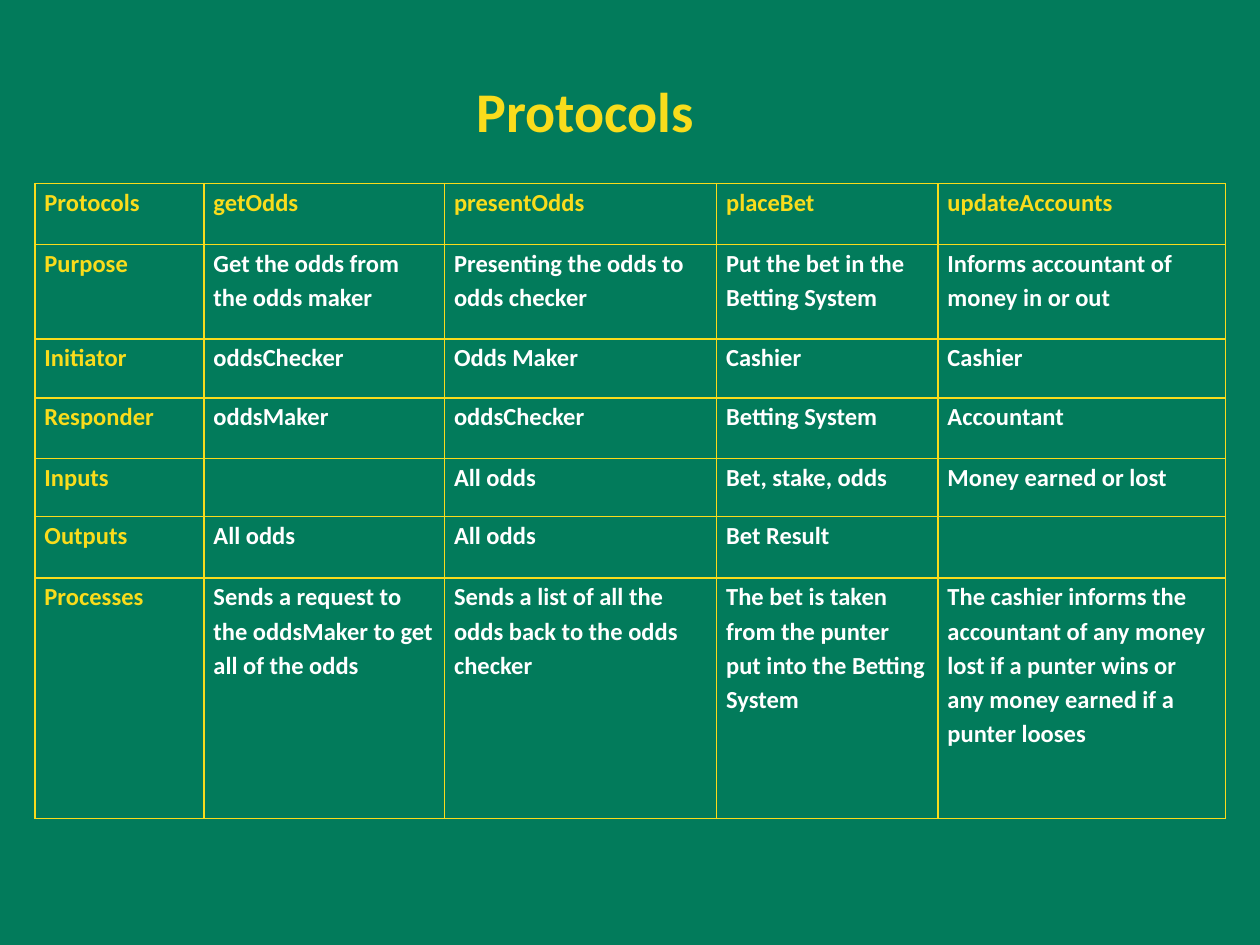
from lxml import etree
from pptx import Presentation
from pptx import util as u
from pptx.dml.color import RGBColor
from pptx.enum import text
from pptx.oxml import ns

GREEN = RGBColor(0x02, 0x7B, 0x5B)
YELLOW = RGBColor(0xF9, 0xDC, 0x1C)
WHITE = RGBColor(0xFF, 0xFF, 0xFF)

COLUMN_WIDTHS = [96.6, 137.5, 155.5, 126.5, 164.2]
ROW_HEIGHTS = [34.6, 54, 33.8, 34.6, 33.1, 35.3, 137.5]
PROTOCOLS = [
    ["Protocols", "getOdds", "presentOdds", "placeBet", "updateAccounts"],
    ["Purpose", "Get the odds from the odds maker", "Presenting the odds to odds checker",
     "Put the bet in the Betting System", "Informs accountant of money in or out"],
    ["Initiator", "oddsChecker", "Odds Maker", "Cashier", "Cashier"],
    ["Responder", "oddsMaker", "oddsChecker", "Betting System", "Accountant"],
    ["Inputs", "", "All odds", "Bet, stake, odds", "Money earned or lost"],
    ["Outputs", "All odds", "All odds", "Bet Result", ""],
    ["Processes", "Sends a request to the oddsMaker to get all of the odds",
     "Sends a list of all the odds back to the odds checker",
     "The bet is taken from the punter put into the Betting System",
     "The cashier informs the accountant of any money lost if a punter wins "
     "or any money earned if a punter looses"],
]


class SlideBuilder:
    font_name = "Calibri"
    title_size = 32
    cell_size = 14

    def __init__(self, presentation):
        self.slide = presentation.slides.add_slide(presentation.slide_layouts[5])

    def background(self, color):
        fill = self.slide.background.fill
        fill.solid()
        fill.fore_color.rgb = color

    def format_runs(self, paragraph, size, color):
        for run in paragraph.runs:
            run.font.name = self.font_name
            run.font.size = u.Pt(size)
            run.font.bold = True
            run.font.color.rgb = color

    def title(self, words, left, top, width, height):
        shape = self.slide.shapes.title
        shape.left, shape.top = u.Pt(left), u.Pt(top)
        shape.width, shape.height = u.Pt(width), u.Pt(height)
        frame = shape.text_frame
        frame.text = words
        frame.word_wrap = True
        frame.auto_size = text.MSO_AUTO_SIZE.NONE
        frame.vertical_anchor = text.MSO_ANCHOR.TOP
        paragraph = frame.paragraphs[0]
        paragraph.alignment = text.PP_ALIGN.LEFT
        self.format_runs(paragraph, self.title_size, YELLOW)

    def table(self, rows, left, top, widths, heights):
        frame = self.slide.shapes.add_table(
            len(rows), len(widths), u.Pt(left), u.Pt(top),
            u.Pt(sum(widths)), u.Pt(sum(heights)))
        table = frame.table
        table.first_row = False
        table.horz_banding = False
        for column, width in zip(table.columns, widths):
            column.width = u.Pt(width)
        for row, height in zip(table.rows, heights):
            row.height = u.Pt(height)
        for row_index, row in enumerate(rows):
            for column_index, words in enumerate(row):
                is_header = row_index == 0 or column_index == 0
                self.cell(table.cell(row_index, column_index), words,
                          YELLOW if is_header else WHITE)

    def cell(self, cell, words, color):
        cell.margin_left = cell.margin_right = u.Pt(5.4)
        cell.margin_top = cell.margin_bottom = 0
        cell.fill.background()
        self.borders(cell)
        cell.text_frame.text = words
        paragraph = cell.text_frame.paragraphs[0]
        paragraph.line_spacing = 1.15
        self.format_runs(paragraph, self.cell_size, color)

    def borders(self, cell):
        properties = cell._tc.get_or_add_tcPr()
        for index, side in enumerate(("lnL", "lnR", "lnT", "lnB")):
            line = etree.Element(ns.qn(f"a:{side}"), w=str(u.Pt(1)))
            fill = etree.SubElement(line, ns.qn("a:solidFill"))
            etree.SubElement(fill, ns.qn("a:srgbClr"), val=str(YELLOW))
            properties.insert(index, line)


def main():
    presentation = Presentation()
    presentation.slide_width = u.Pt(720)
    presentation.slide_height = u.Pt(540)
    builder = SlideBuilder(presentation)
    builder.background(GREEN)
    builder.table(PROTOCOLS, 20, 105, COLUMN_WIDTHS, ROW_HEIGHTS)
    builder.title("Protocols", 265, 40.3, 242.6, 46)
    presentation.save("out.pptx")


if __name__ == "__main__":
    main()
